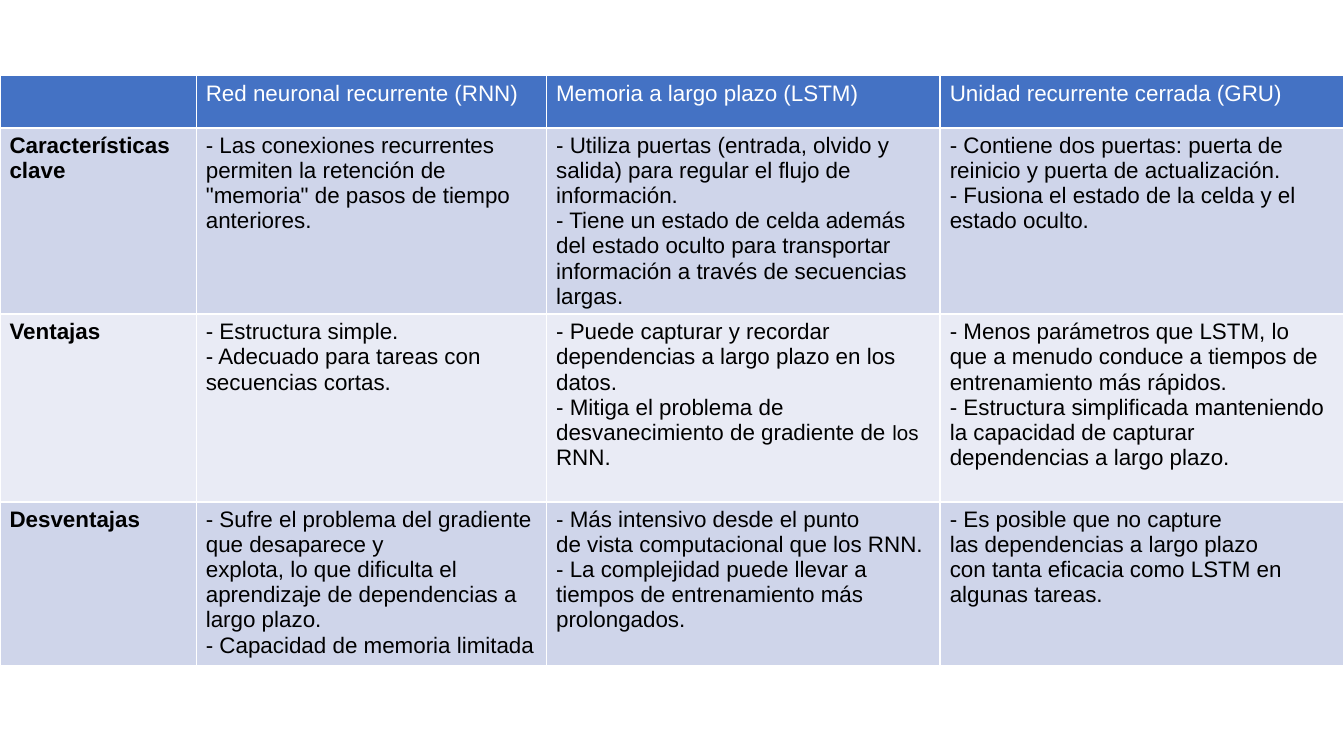
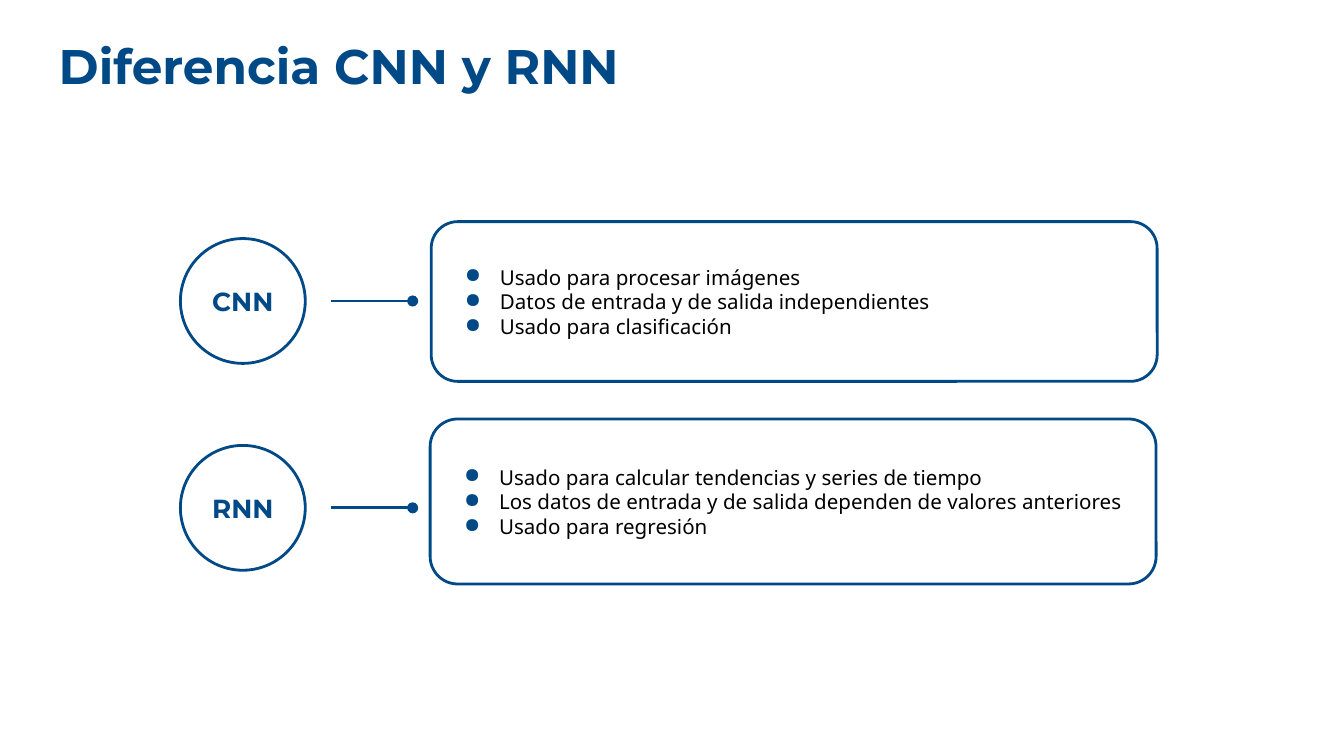
from lxml import etree
from pptx import Presentation
from pptx.dml.color import RGBColor
from pptx.enum.shapes import MSO_CONNECTOR, MSO_SHAPE
from pptx.enum.text import MSO_ANCHOR, PP_ALIGN
from pptx.oxml.ns import qn
from pptx.util import Cm, Pt

ELBOW = MSO_CONNECTOR.ELBOW
ROUNDED = MSO_SHAPE.ROUNDED_RECTANGLE
OVAL = MSO_SHAPE.OVAL
MIDDLE, TOP = MSO_ANCHOR.MIDDLE, MSO_ANCHOR.TOP
CENTER, LEFT = PP_ALIGN.CENTER, PP_ALIGN.LEFT

NAVY = RGBColor(0x00, 0x49, 0x87)
HEADER_BLUE = RGBColor(0x44, 0x72, 0xC4)
BAND_DARK = RGBColor(0xCF, 0xD5, 0xEA)
BAND_LIGHT = RGBColor(0xE9, 0xEB, 0xF5)
WHITE = RGBColor(0xFF, 0xFF, 0xFF)
BLACK = RGBColor(0x00, 0x00, 0x00)

TABLE_FONT, TITLE_FONT, BODY_FONT = "Arial", "Montserrat", "Noto Sans"
LINE_WIDTH = Pt(1.5)

COLUMN_WIDTHS = (3.71, 6.62, 7.44, 7.63)
ROW_HEIGHTS = (0.99, 3.51, 3.55, 3.1)
SMALL_WORD = " los "

COMPARISON = (
    ("", "Red neuronal recurrente (RNN)", "Memoria a largo plazo (LSTM)",
     "Unidad recurrente cerrada (GRU)"),
    ("Características\nclave",
     "- Las conexiones recurrentes\n"
     "permiten la retención de \"memoria\" de pasos de tiempo\n"
     "anteriores.",
     "- Utiliza puertas (entrada, olvido y salida) para regular el flujo de información.\n"
     "- Tiene un estado de celda además del estado oculto para transportar "
     "información a través de secuencias largas.",
     "- Contiene dos puertas: puerta de reinicio y puerta de actualización.\n"
     "- Fusiona el estado de la celda y el estado oculto."),
    ("Ventajas",
     "- Estructura simple.\n"
     "- Adecuado para tareas con secuencias cortas.",
     "- Puede capturar y recordar\n"
     "dependencias a largo plazo en los datos.\n"
     "- Mitiga el problema de desvanecimiento de gradiente de los RNN.",
     "- Menos parámetros que LSTM, lo\n"
     "que a menudo conduce a tiempos de entrenamiento más rápidos.\n"
     "- Estructura simplificada manteniendo la capacidad de capturar "
     "dependencias a largo plazo."),
    ("Desventajas",
     "- Sufre el problema del gradiente que desaparece y\n"
     "explota, lo que dificulta el aprendizaje de dependencias a largo plazo.\n"
     "- Capacidad de memoria limitada",
     "- Más intensivo desde el punto\n"
     "de vista computacional que los RNN.\n"
     "- La complejidad puede llevar a\n"
     "tiempos de entrenamiento más\n"
     "prolongados.",
     "- Es posible que no capture\n"
     "las dependencias a largo plazo\n"
     "con tanta eficacia como LSTM en\n"
     "algunas tareas."),
)

NETWORKS = (
    ("CNN", 5.69, (8.15, 4.19, 13.72, 3.02),
     ("Usado para procesar imágenes",
      "Datos de entrada y de salida independientes",
      "Usado para clasificación")),
    ("RNN", 9.6, (8.13, 7.92, 13.72, 3.12),
     ("Usado para calcular tendencias y series de tiempo",
      "Los datos de entrada y de salida dependen de valores anteriores",
      "Usado para regresión")),
)


class Deck:
    """Holds the presentation, its style and the current slide."""

    def __init__(self):
        self.presentation = Presentation()
        self.presentation.slide_width = Cm(25.4)
        self.presentation.slide_height = Cm(14.29)
        self.slide = None

    def add_slide(self):
        self.slide = self.presentation.slides.add_slide(self.presentation.slide_layouts[6])

    def style(self, paragraph, name, size, color, bold=False):
        font = paragraph.font
        font.name, font.size, font.bold = name, Pt(size), bold
        font.color.rgb = color

    def set_frame(self, frame, inset, anchor):
        frame.word_wrap = True
        frame.vertical_anchor = anchor
        frame.margin_left = frame.margin_right = Cm(inset)
        frame.margin_top = frame.margin_bottom = Cm(inset)

    def add_title(self, text):
        frame = self.slide.shapes.add_textbox(Cm(0.86), Cm(0.56), Cm(15.6), Cm(1.6)).text_frame
        self.set_frame(frame, 0.25, TOP)
        frame.text = text
        frame.paragraphs[0].line_spacing = 0.9
        self.style(frame.paragraphs[0], TITLE_FONT, 26, NAVY, True)

    def add_outline(self, kind, left, top, width, height, lines, alignment):
        shape = self.slide.shapes.add_shape(kind, Cm(left), Cm(top), Cm(width), Cm(height))
        shape.shadow.inherit = False
        shape.fill.background()
        shape.line.color.rgb = NAVY
        shape.line.width = LINE_WIDTH
        self.set_frame(shape.text_frame, 0.18, MIDDLE)
        shape.text_frame.text = "\n".join(lines)
        for paragraph in shape.text_frame.paragraphs:
            paragraph.alignment = alignment
        return shape

    def add_badge(self, text, center, diameter=2.36):
        shape = self.add_outline(OVAL, 3.41, center - diameter / 2, diameter, diameter,
                                 (text,), CENTER)
        self.style(shape.text_frame.paragraphs[0], TITLE_FONT, 14, NAVY, True)

    def add_bullet_box(self, bounds, lines):
        shape = self.add_outline(ROUNDED, *bounds, lines, LEFT)
        for paragraph in shape.text_frame.paragraphs:
            self.add_bullet(paragraph)
            self.style(paragraph, BODY_FONT, 11, BLACK)

    def add_bullet(self, paragraph):
        properties = paragraph._p.get_or_add_pPr()
        properties.set("marL", str(Cm(0.97)))
        properties.set("indent", str(Cm(-0.66)))
        color = etree.SubElement(properties, qn("a:buClr"))
        etree.SubElement(color, qn("a:srgbClr"), val=str(NAVY))
        etree.SubElement(properties, qn("a:buChar"), char="●")

    def add_link(self, center):
        connector = self.slide.shapes.add_connector(
            ELBOW, Cm(6.25), Cm(center), Cm(7.8), Cm(center))
        connector.line.color.rgb = NAVY
        connector.line.width = LINE_WIDTH
        etree.SubElement(connector.line._get_or_add_ln(), qn("a:tailEnd"), type="oval")
        etree.SubElement(connector._element.spPr, qn("a:effectLst"))

    def add_table(self, top, rows):
        table = self.slide.shapes.add_table(
            len(rows), len(COLUMN_WIDTHS), 0, Cm(top),
            Cm(sum(COLUMN_WIDTHS)), Cm(sum(ROW_HEIGHTS))).table
        for column, width in zip(table.columns, COLUMN_WIDTHS):
            column.width = Cm(width)
        for row, height in zip(table.rows, ROW_HEIGHTS):
            row.height = Cm(height)
        for row_index, texts in enumerate(rows):
            header = row_index == 0
            band = BAND_DARK if row_index % 2 else BAND_LIGHT
            for column_index, text in enumerate(texts):
                cell = table.cell(row_index, column_index)
                self.fill_cell(cell, text, HEADER_BLUE if header else band,
                               WHITE if header else BLACK, column_index == 0)
        return table

    def fill_cell(self, cell, text, fill, color, bold):
        cell.margin_left = cell.margin_right = Cm(0.18)
        cell.margin_top = cell.margin_bottom = Cm(0.1)
        cell.text = text
        for paragraph in cell.text_frame.paragraphs:
            self.style(paragraph, TABLE_FONT, 12, color, bold)
        properties = cell._tc.get_or_add_tcPr()
        for side in ("a:lnL", "a:lnR", "a:lnT", "a:lnB"):
            border = etree.SubElement(properties, qn(side), w=str(Pt(1)))
            solid = etree.SubElement(border, qn("a:solidFill"))
            etree.SubElement(solid, qn("a:srgbClr"), val=str(WHITE))
        cell.fill.solid()
        cell.fill.fore_color.rgb = fill

    def shrink_word(self, paragraph, word, size):
        before, found, after = paragraph.runs[0].text.partition(word)
        paragraph.runs[0].text = before + " "
        small = paragraph.add_run()
        small.text = found.strip()
        small.font.size = Pt(size)
        paragraph.add_run().text = " " + after


def main():
    deck = Deck()

    deck.add_slide()
    table = deck.add_table(1.43, COMPARISON)
    deck.shrink_word(table.cell(2, 2).text_frame.paragraphs[-1], SMALL_WORD, 11)

    deck.add_slide()
    deck.add_title("Diferencia CNN y RNN")
    for name, center, bounds, uses in NETWORKS:
        deck.add_bullet_box(bounds, uses)
        deck.add_link(center)
        deck.add_badge(name, center)

    deck.presentation.save("out.pptx")


if __name__ == "__main__":
    main()
